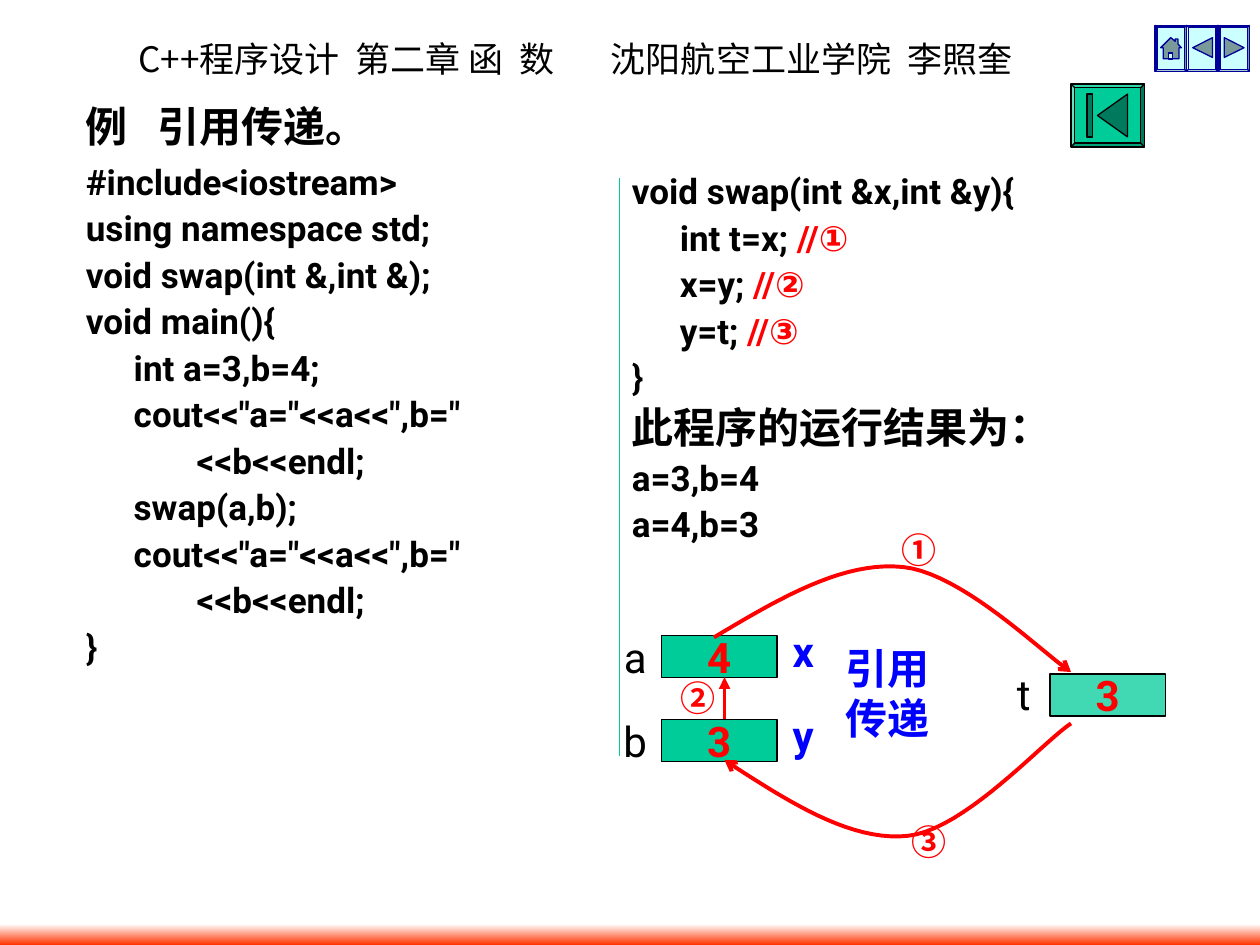
"""Build a slide that explains passing arguments by reference in C++."""
from lxml import etree
from pptx import Presentation
from pptx.dml.color import RGBColor
from pptx.enum.shapes import MSO_CONNECTOR, MSO_SHAPE
from pptx.enum.text import MSO_ANCHOR, PP_ALIGN
from pptx.oxml.ns import qn
from pptx.util import Inches, Pt

RECT, BEVEL = MSO_SHAPE.RECTANGLE, MSO_SHAPE.BEVEL
LINE = MSO_CONNECTOR.STRAIGHT
TOP, MIDDLE = MSO_ANCHOR.TOP, MSO_ANCHOR.MIDDLE
LEFT, CENTER = PP_ALIGN.LEFT, PP_ALIGN.CENTER

THEME = dict(
    ink="000000", red="FF0000", blue="0000FF", green="00CC99", mint="40D9B3",
    moss="007A5C", navy="000099", ice="CCFFFF", steel="7A9999", white="FFFFFF",
    flame="FF3300", big=24, code=20, thin=0.75, thick=2.25,
    latin="Roboto", serif="Times New Roman",
    asian="Noto Sans CJK SC", header="Noto Sans CJK JP")
CELL = 1 / 12

HEADER = [[("C++程序设计 ", {"font": "header"}), (" 第二章 函  数\t", {"font": "asian"}),
           ("沈阳航空工业学院  ", {"font": "header"}), ("李照奎", {"font": "asian"})]]
TITLE = ["例\t引用传递。"]
MAIN = ["#include<iostream>", "using namespace std;", "void swap(int &,int &);",
        "void main(){", "\tint a=3,b=4;", '\tcout<<"a="<<a<<",b="',
        "\t\t<<b<<endl;", "\tswap(a,b);", '\tcout<<"a="<<a<<",b="',
        "\t\t<<b<<endl;", "}"]
NOTE = {"color": "red"}
SWAP = ["void swap(int &x,int &y){",
        [("\tint t=x; ", {}), ("//①", NOTE)],
        [("\tx=y; ", {}), ("//②", NOTE)],
        [("\ty=t; ", {}), ("//③", NOTE)],
        "}", [("此程序的运行结果为：", {"size": "big"})], "a=3,b=4", "a=4,b=3"]

CELLS = [("4", 63, 60.5, "green"), ("3", 63, 68.5, "green"), ("3", 100, 64.2, "mint")]
NAME = dict(bold=False)
ALIAS = dict(color="blue")
STEP = dict(color="red", size="code", font="asian")
LABELS = [("a", 55, 59.5, 6, NAME), ("b", 55, 67.5, 6, NAME), ("t", 92, 63.1, 6, NAME),
          ("x", 71, 59, 6, ALIAS), ("y", 71, 67, 6, ALIAS), ("引用传递", 79, 63, 6, ALIAS),
          ("①", 82, 49, 6.7, STEP), ("②", 61, 63.4, 6, STEP), ("③", 83, 78, 4.3, STEP)]
CURVES = [
    [(68, 60.7), (74.2, 57), (80.3, 53.4), (86, 54), (91.7, 54.6), (99.4, 62.3), (102, 64)],
    [(102, 68.9), (99.4, 70.6), (91.9, 79), (86.5, 79.6), (81, 80.2), (75, 76.3), (69, 72.4)]]

HOUSE = [(.5, .27), (.64, .35), (.64, .3), (.73, .3), (.73, .41), (.84, .49),
         (.76, .49), (.76, .73), (.26, .73), (.26, .49), (.18, .49)]
DOOR = [(.44, .6), (.56, .6), (.56, .73), (.44, .73)]
BACK = [(.2, .49), (.83, .27), (.83, .7)]
NEXT = [(.2, .27), (.83, .49), (.2, .7)]
BAR = [(.22, .16), (.29, .16), (.29, .84), (.22, .84)]
FIRST = [(.36, .5), (.77, .16), (.77, .84)]
NAV = ("ice", "navy")
BUTTONS = [
    ((110, 2.4, 3, 4.4), NAV, [(HOUSE, "steel"), (DOOR, "ice")]),
    ((113, 2.4, 3, 4.4), NAV, [(BACK, "steel")]),
    ((116, 2.4, 3, 4.4), NAV, [(NEXT, "steel")]),
    ((102, 8, 7, 6), ("green", "ink"), [(BAR, "moss"), (FIRST, "moss")])]

deck = Presentation()
deck.slide_width, deck.slide_height = Inches(10), Inches(7.5)
slide = deck.slides.add_slide(deck.slide_layouts[6])
shapes = slide.shapes


def grid(*vals):
    return [Inches(v * CELL) for v in vals]


def rgb(name):
    return RGBColor.from_string(THEME[name])


def add(parent, tag, **attrs):
    return etree.SubElement(parent, qn(tag), attrs)


def paint(shape, fill, edge, width="thin"):
    shape.shadow.inherit = False
    if fill:
        shape.fill.solid()
        shape.fill.fore_color.rgb = rgb(fill)
    else:
        shape.fill.background()
    shape.line.color.rgb = rgb(edge)
    shape.line.width = Pt(THEME[width])


def write(text, box=None, shape=None, color="ink", size="big", font="latin", bold=True,
          align=LEFT, anchor=TOP, wrap=True, tab=None, hang=False):
    shape = shape or shapes.add_textbox(*grid(*box))
    frame = shape.text_frame
    frame.word_wrap, frame.vertical_anchor = wrap, anchor
    for i, row in enumerate(text):
        para = frame.paragraphs[0] if i == 0 else frame.add_paragraph()
        props = para._p.get_or_add_pPr()
        if tab:
            add(add(props, "a:tabLst"), "a:tab", pos=str(Inches(tab)), algn="l")
        if hang:
            props.set("marL", str(Inches(0.38)))
            props.set("indent", str(Inches(-0.38)))
            para.line_spacing = 0.9
            if i:
                para.space_before = Pt(5)
        para.alignment = align
        for words, own in [(row, {})] if isinstance(row, str) else row:
            run = para.add_run()
            run.text = words
            look = run.font
            face = THEME[own.get("font", font)]
            look.name, look.bold = face, bold
            look.size = Pt(THEME[own.get("size", size)])
            look.color.rgb = rgb(own.get("color", color))
            asian = face if "CJK" in face else THEME["asian"]
            add(run._r.get_or_add_rPr(), "a:ea", typeface=asian)


def outline(points, fill, edge, width="thin", close=True):
    spots = [tuple(grid(*p)) for p in points]
    pen = shapes.build_freeform(*spots[0])
    pen.add_line_segments(spots[1:], close=close)
    shape = pen.convert_to_shape()
    paint(shape, fill, edge, width)
    return shape


def bend(a, b, c, d, steps=20):
    for n in range(1, steps + 1):
        t = n / steps
        u = 1 - t
        yield tuple(u**3 * p + 3 * u * u * t * q + 3 * u * t * t * r + t**3 * s
                    for p, q, r, s in zip(a, b, c, d))


def join(start, end, color, width):
    link = shapes.add_connector(LINE, *grid(*start, *end))
    link.line.color.rgb = rgb(color)
    link.line.width = Pt(THEME[width])
    add(link._element.spPr, "a:effectLst")
    return link


def point(shape, kind):
    add(shape.line._get_or_add_ln(), "a:tailEnd", type=kind)


write(HEADER, (12, 3, 99, 5.25), size="code", bold=False, tab=3.75)
band = shapes.add_shape(RECT, *grid(0, 88, 120, 2))
band.shadow.inherit = False
band.line.fill.background()
band.fill.gradient()
band.fill.gradient_angle = 270
for stop, name in zip(band.fill.gradient_stops, ("white", "flame")):
    stop.color.rgb = rgb(name)

for box, (fill, edge), icons in BUTTONS:
    left, top, width, height = box
    frame = shapes.add_shape(BEVEL, *grid(*box))
    frame.adjustments[0] = 0.06
    paint(frame, fill, edge)
    for icon, tone in icons:
        outline([(left + x * width, top + y * height) for x, y in icon], tone, edge)

write(TITLE, (7, 9, 78, 6), font="serif", tab=0.57)
write(MAIN, (7, 15.1, 49.4, 54.8), size="code", tab=1, hang=True)
write(SWAP, (59, 16, 56, 50), size="code", tab=1, hang=True)
join((59, 17), (59, 72), "green", "thin")

MID = dict(align=CENTER, anchor=MIDDLE, wrap=False)
for value, left, top, fill in CELLS:
    cell = shapes.add_shape(RECT, *grid(left, top, 11, 4))
    paint(cell, fill, "ink")
    write([value], shape=cell, color="red", **MID)
for text, left, top, height, style in LABELS:
    write([text], (left, top, 11, height), **MID, **style)

for knots in CURVES:
    path = [knots[0], *bend(*knots[:4]), *bend(*knots[3:])]
    point(outline(path, None, "red", "thick", close=False), "arrow")
point(join((69, 68.5), (69, 64.5), "red", "thick"), "triangle")

deck.save("out.pptx")
